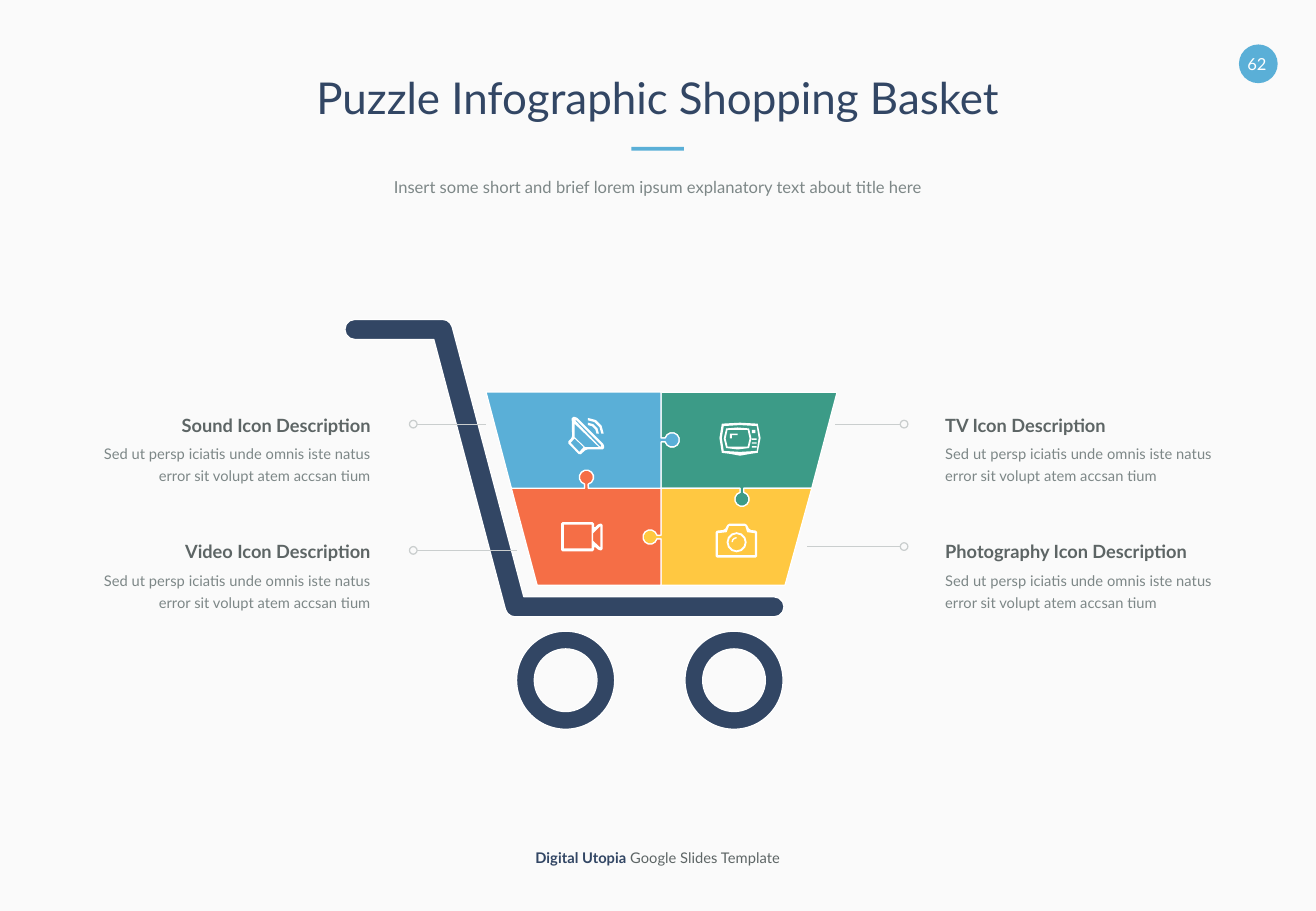
import math
from dataclasses import dataclass

from lxml import etree
from pptx import Presentation, util as u
from pptx.dml.color import RGBColor
from pptx.enum import shapes as kinds, text as txt
from pptx.oxml.ns import qn

Point = tuple[float, float]
Contour = list[Point]

COLORS = {
    "paper": "FAFAFA", "navy": "324664", "blue": "5AAFD7", "green": "3C9B87",
    "orange": "F56E46", "yellow": "FFC841", "white": "FFFFFF",
    "heading": "5D6565", "body": "7D8787", "rule": "CACECE",
}
FONT = "Lato"
BLURB = "Sed ut persp iciatis unde omnis iste natus error sit volupt atem accsan tium"
LEFT, CENTER, RIGHT = txt.PP_ALIGN.LEFT, txt.PP_ALIGN.CENTER, txt.PP_ALIGN.RIGHT
UNITS_PER_CM = 1000
ARC_STEP = 30


@dataclass
class Callout:
    heading: str
    left: float
    top: float
    align: txt.PP_ALIGN
    ring_left: float
    line_y: float
    line_start: float
    line_end: float


@dataclass
class Piece:
    color: str
    corner: Point


@dataclass
class Seam:
    rim: Point
    knob: Point
    toward: Point


def rgb(name: str) -> RGBColor:
    return RGBColor.from_string(COLORS[name])


def paint(shape, fill: str | None = None, line: str | None = None) -> None:
    shape.shadow.inherit = False
    if fill:
        shape.fill.solid()
        shape.fill.fore_color.rgb = rgb(fill)
    else:
        shape.fill.background()
    if line:
        shape.line.color.rgb = rgb(line)
        shape.line.width = u.Pt(0.75)
    else:
        shape.line.fill.background()


def add_preset(slide, kind, left: float, top: float, width: float, height: float, **look):
    shape = slide.shapes.add_shape(kind, u.Cm(left), u.Cm(top), u.Cm(width), u.Cm(height))
    paint(shape, **look)
    return shape


def add_outline(slide, contours: list[Contour], **look) -> None:
    scaled = [[(x * UNITS_PER_CM, y * UNITS_PER_CM) for x, y in c] for c in contours]
    builder = slide.shapes.build_freeform(*scaled[0][0], scale=u.Cm(1) / UNITS_PER_CM)
    builder.add_line_segments(scaled[0][1:], close=True)
    for contour in scaled[1:]:
        builder.move_to(*contour[0])
        builder.add_line_segments(contour[1:], close=True)
    paint(builder.convert_to_shape(), **look)


def add_text(slide, runs: list[tuple[str, str, bool]], left: float, top: float, width: float,
             height: float, *, size: float, align=CENTER, spacing: float | None = None) -> None:
    frame = slide.shapes.add_textbox(u.Cm(left), u.Cm(top), u.Cm(width), u.Cm(height)).text_frame
    frame.margin_left = frame.margin_right = frame.margin_top = frame.margin_bottom = 0
    frame.word_wrap = True
    paragraph = frame.paragraphs[0]
    paragraph.alignment = align
    if spacing:
        paragraph.line_spacing = spacing
    for words, color, bold in runs:
        run = paragraph.add_run()
        run.text = words
        run.font.name, run.font.size, run.font.bold = FONT, u.Pt(size), bold
        run.font.color.rgb = rgb(color)


def arc(cx: float, cy: float, radius: float, start: float, end: float) -> Contour:
    steps = math.ceil(abs(end - start) / ARC_STEP)
    angles = [math.radians(start + (end - start) * i / steps) for i in range(steps + 1)]
    return [(cx + radius * math.cos(a), cy + radius * math.sin(a)) for a in angles]


def circle(cx: float, cy: float, radius: float) -> Contour:
    return arc(cx, cy, radius, 0, 360)[:-1]


def band(cx: float, cy: float, outer: float, inner: float, start: float, end: float) -> Contour:
    return arc(cx, cy, outer, start, end) + arc(cx, cy, inner, end, start)


def box(left: float, top: float, right: float, bottom: float) -> Contour:
    return [(left, top), (right, top), (right, bottom), (left, bottom)]


def trimmed(corners: Contour, cut: float = 0.03) -> Contour:
    result = []
    for i, (x, y) in enumerate(corners):
        for nx, ny in (corners[i - 1], corners[(i + 1) % len(corners)]):
            share = cut / math.dist((x, y), (nx, ny))
            result.append((x + (nx - x) * share, y + (ny - y) * share))
    return result


def seam_path(seam: Seam) -> Contour:
    (x, y), (dx, dy) = seam.knob, seam.toward
    bulge = math.degrees(math.atan2(dy, dx))
    head = arc(x + 0.23 * dx, y + 0.23 * dy, 0.15, bulge - 165, bulge + 165)
    neck = [(x + 0.04 * s * -dy, y + 0.04 * s * dx) for s in (-1, 1)]
    return [seam.rim, neck[0], *head, neck[1], HUB]


def add_callout(slide, item: Callout) -> None:
    add_text(slide, [(item.heading, "heading", True)], item.left, item.top, 5.69, 0.46,
             size=10.8, align=item.align)
    add_text(slide, [(BLURB, "body", False)], item.left, item.top + 0.56, 5.69, 0.91,
             size=8.7, align=item.align, spacing=1.25)
    add_preset(slide, kinds.MSO_SHAPE.OVAL, item.ring_left, item.line_y - 0.08, 0.16, 0.16, line="rule")
    leader = slide.shapes.add_connector(kinds.MSO_CONNECTOR.STRAIGHT, u.Cm(item.line_start),
                                        u.Cm(item.line_y), u.Cm(item.line_end), u.Cm(item.line_y))
    leader.line.color.rgb = rgb("rule")
    leader.line.width = u.Pt(0.75)
    etree.SubElement(leader._element.spPr, qn("a:effectLst"))


HUB = (13.82, 10.21)
SEAMS = [
    Seam((13.82, 8.2), (13.82, 9.2), (1, 0)),
    Seam((16.97, 10.21), (15.51, 10.21), (0, 1)),
    Seam((13.82, 12.24), (13.82, 11.23), (-1, 0)),
    Seam((10.69, 10.21), (12.26, 10.21), (0, -1)),
]
PIECES = [
    Piece("green", (17.5, 8.2)), Piece("yellow", (16.41, 12.24)),
    Piece("orange", (11.23, 12.24)), Piece("blue", (10.16, 8.2)),
]
HANDLE = (arc(16.18, 12.69, 0.21, 90, -90) + [(10.95, 12.48)] + arc(9.25, 6.89, 0.21, -15, -90)
          + arc(7.42, 6.89, 0.21, 270, 90) + [(9.07, 7.1)] + arc(10.77, 12.69, 0.21, 165, 90))
CAMERA = [
    trimmed([(15.22, 10.95), (15.6, 10.95), (15.67, 11.08), (15.83, 11.1),
             (15.83, 11.66), (14.96, 11.66), (14.96, 11.1), (15.15, 11.08)]),
    [(15.24, 11), (15.58, 11), (15.62, 11.13), (15.78, 11.15),
     (15.78, 11.61), (15.01, 11.61), (15.01, 11.15), (15.19, 11.13)],
    circle(15.4, 11.34, 0.21), circle(15.4, 11.34, 0.17), band(15.4, 11.34, 0.11, 0.08, 180, 270),
]
VIDEO = [
    trimmed([(11.73, 10.92), (12.42, 10.92), (12.42, 11.05), (12.52, 10.95), (12.6, 10.95),
             (12.6, 11.51), (12.52, 11.51), (12.42, 11.42), (12.42, 11.53), (11.73, 11.53)]),
    box(11.79, 10.97, 12.37, 11.47),
    [(12.55, 11), (12.55, 11.45), (12.4, 11.31), (12.4, 11.15)],
]
DISH = [
    trimmed([(11.95, 8.72), (12.05, 8.72), (12.63, 9.3), (12.63, 9.4),
             (12.25, 9.4), (12.12, 9.52), (11.86, 9.25), (11.96, 9.15)]),
    [(12.02, 8.79), (12.05, 8.79), (12.57, 9.31), (12.55, 9.35)],
    [(12.01, 8.86), (12.52, 9.35), (12.23, 9.35), (12.01, 9.14)],
    [(12.01, 9.17), (12.2, 9.35), (12.11, 9.45), (11.93, 9.26)],
    band(12.29, 9.07, 0.33, 0.28, -90, 0), band(12.29, 9.07, 0.23, 0.18, -90, 0),
]
TELEVISION = [
    [(15.09, 8.86), (15.47, 8.84), (15.84, 8.86), (15.9, 9.16), (15.84, 9.47),
     (15.7, 9.49), (15.47, 9.53), (15.25, 9.49), (15.09, 9.47), (15.04, 9.16)],
    [(15.13, 8.91), (15.47, 8.89), (15.82, 8.91), (15.86, 9.16),
     (15.82, 9.43), (15.47, 9.45), (15.13, 9.43), (15.09, 9.16)],
    [(15.18, 8.96), (15.42, 8.94), (15.66, 8.96), (15.71, 9.17),
     (15.66, 9.37), (15.42, 9.4), (15.18, 9.37), (15.13, 9.17)],
    [(15.21, 8.99), (15.63, 8.99), (15.67, 9.17), (15.63, 9.34), (15.21, 9.34), (15.17, 9.17)],
    [(15.26, 9.07), (15.42, 9.07), (15.42, 9.1), (15.3, 9.1), (15.3, 9.17), (15.26, 9.17)],
    box(15.72, 8.99, 15.79, 9.06),
    *(box(15.72, y, 15.82, y + 0.03) for y in (9.17, 9.25, 9.33)),
]
CALLOUTS = [
    Callout("Sound Icon Description", 2.06, 8.66, RIGHT, 8.56, 8.87, 10.16, 8.72),
    Callout("Video Icon Description", 2.06, 11.3, RIGHT, 8.56, 11.51, 10.8, 8.72),
    Callout("TV Icon Description", 19.76, 8.66, LEFT, 18.82, 8.87, 18.82, 17.45),
    Callout("Photography Icon Description", 19.76, 11.3, LEFT, 18.82, 11.43, 18.82, 16.87),
]


def main() -> None:
    deck = Presentation()
    deck.slide_width, deck.slide_height = u.Cm(27.51), u.Cm(19.05)
    slide = deck.slides.add_slide(deck.slide_layouts[6])
    slide.background.fill.solid()
    slide.background.fill.fore_color.rgb = rgb("paper")

    add_preset(slide, kinds.MSO_SHAPE.RECTANGLE, 13.2, 3.07, 1.1, 0.08, fill="blue")
    add_preset(slide, kinds.MSO_SHAPE.OVAL, 25.9, 0.93, 0.81, 0.81, fill="blue")
    add_text(slide, [("62", "white", False)], 25.93, 1.12, 0.69, 0.41, size=9.8)
    add_text(slide, [("Digital Utopia ", "navy", True), ("Google Slides Template", "heading", False)],
             10.5, 17.75, 6.5, 0.38, size=8.7)
    add_text(slide, [("Puzzle Infographic Shopping Basket", "navy", False)],
             2.06, 1.47, 23.39, 1.22, size=26)
    add_text(slide, [("Insert some short and brief lorem ipsum explanatory text about title here",
                      "body", False)], 2.06, 3.71, 23.39, 0.51, size=9.8)

    for wheel_left in (10.8, 14.32):
        wheel = add_preset(slide, kinds.MSO_SHAPE.DONUT, wheel_left, 13.2, 2.05, 2.05,
                           fill="navy", line="white")
        wheel.adjustments[0] = 0.18
    add_outline(slide, [HANDLE], fill="navy", line="white")

    seams = [seam_path(seam) for seam in SEAMS]
    for i, piece in enumerate(PIECES):
        edge = seams[i] + seams[(i + 1) % len(seams)][-2::-1] + [piece.corner]
        add_outline(slide, [edge], fill=piece.color, line="white")
    for icon in (CAMERA, VIDEO, DISH, TELEVISION):
        add_outline(slide, icon, fill="white")
    for item in CALLOUTS:
        add_callout(slide, item)
    deck.save("out.pptx")


if __name__ == "__main__":
    main()
